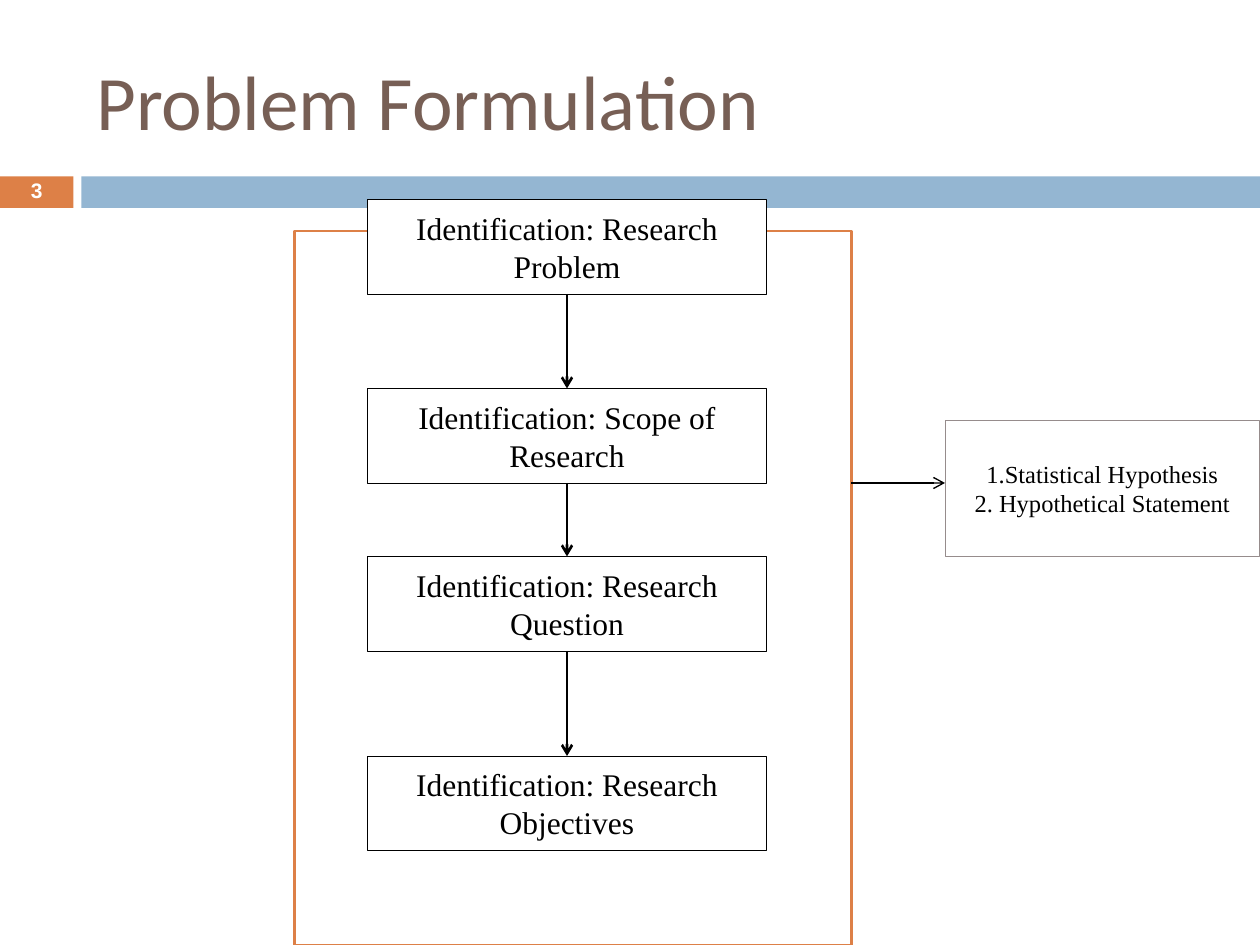
from dataclasses import dataclass
from itertools import pairwise

from lxml import etree
from pptx import Presentation
from pptx.dml.color import RGBColor
from pptx.enum.shapes import MSO_CONNECTOR, MSO_SHAPE
from pptx.enum.text import MSO_ANCHOR, PP_ALIGN
from pptx.oxml.ns import qn
from pptx.util import Pt

RECTANGLE = MSO_SHAPE.RECTANGLE
STRAIGHT = MSO_CONNECTOR.STRAIGHT
MIDDLE = MSO_ANCHOR.MIDDLE
LEFT, CENTER = PP_ALIGN.LEFT, PP_ALIGN.CENTER


@dataclass(frozen=True)
class Theme:
    title: str = "775F55"
    accent: str = "DD8047"
    band: str = "94B6D2"
    paper: str = "FFFFFF"
    ink: str = "000000"
    note_line: str = "968C8C"
    title_font: str = "Calibri"
    number_font: str = "Arial"
    body_font: str = "Times New Roman"
    title_size: float = 44
    step_size: float = 18
    note_size: float = 14
    number_size: float = 12


@dataclass(frozen=True)
class Area:
    left: float
    top: float
    width: float
    height: float

    @property
    def right(self) -> float:
        return self.left + self.width

    @property
    def bottom(self) -> float:
        return self.top + self.height

    @property
    def center(self) -> float:
        return self.left + self.width / 2

    def lengths(self) -> tuple:
        return Pt(self.left), Pt(self.top), Pt(self.width), Pt(self.height)


@dataclass(frozen=True)
class Step:
    text: str
    top: float

    @property
    def area(self) -> Area:
        return Area(210, self.top, 228, 54)


THEME = Theme()
TITLE = Area(48, 18, 642, 78)
NUMBER_TAB = Area(0, 100.8, 42, 18)
BAND = Area(46.5, 100.8, 673.5, 18)
FRAME = Area(168.5, 132, 318, 408)
NOTE = Area(540, 240, 180, 78)
NOTE_ARROW_Y = 276
STEPS = [
    Step("Identification: Research Problem", 114),
    Step("Identification: Scope of Research", 222),
    Step("Identification: Research Question", 318),
    Step("Identification: Research Objectives", 432),
]


def write(shape, text: str, *, font: str, size: float, color: str,
          align=CENTER, bold: bool = False, spacing: float = 1.0) -> None:
    frame = shape.text_frame
    frame.word_wrap = True
    frame.vertical_anchor = MIDDLE
    frame.text = text
    for para in frame.paragraphs:
        para.alignment = align
        para.line_spacing = spacing
        for span in para.runs:
            span.font.name = font
            span.font.size = Pt(size)
            span.font.bold = bold
            span.font.color.rgb = RGBColor.from_string(color)


def add_box(page, area: Area, fill: str, line: str = "", width: float = 0):
    box = page.shapes.add_shape(RECTANGLE, *area.lengths())
    box.shadow.inherit = False
    box.fill.solid()
    box.fill.fore_color.rgb = RGBColor.from_string(fill)
    if line:
        box.line.color.rgb = RGBColor.from_string(line)
        box.line.width = Pt(width)
    else:
        box.line.fill.background()
    return box


def add_arrow(page, start: tuple[float, float], end: tuple[float, float],
              width: float) -> None:
    points = [Pt(value) for value in (*start, *end)]
    arrow = page.shapes.add_connector(STRAIGHT, *points)
    arrow.line.color.rgb = RGBColor.from_string(THEME.ink)
    arrow.line.width = Pt(width)
    etree.SubElement(arrow.line._get_or_add_ln(), qn("a:tailEnd"), type="arrow")
    etree.SubElement(arrow._element.spPr, qn("a:effectLst"))


def main() -> None:
    deck = Presentation()
    deck.slide_width, deck.slide_height = Pt(720), Pt(540)
    page = deck.slides.add_slide(deck.slide_layouts[5])

    title = page.shapes.title
    title.left, title.top, title.width, title.height = TITLE.lengths()
    write(title, "Problem Formulation", font=THEME.title_font,
          size=THEME.title_size, color=THEME.title, align=LEFT)

    number_tab = add_box(page, NUMBER_TAB, THEME.accent)
    write(number_tab, "3", font=THEME.number_font, size=THEME.number_size,
          color=THEME.paper, bold=True, spacing=0.8)
    add_box(page, BAND, THEME.band)
    add_box(page, FRAME, THEME.paper, THEME.accent, 1.5)

    for step in STEPS:
        box = add_box(page, step.area, THEME.paper, THEME.ink, 0.25)
        write(box, step.text, font=THEME.body_font, size=THEME.step_size,
              color=THEME.ink)
    for upper, lower in pairwise(step.area for step in STEPS):
        add_arrow(page, (upper.center, upper.bottom),
                  (lower.center, lower.top), 1.5)

    note = add_box(page, NOTE, THEME.paper, THEME.note_line, 0.5)
    write(note, "1.Statistical Hypothesis\n2. Hypothetical Statement",
          font=THEME.body_font, size=THEME.note_size, color=THEME.ink)
    add_arrow(page, (FRAME.right, NOTE_ARROW_Y), (NOTE.left, NOTE_ARROW_Y), 0.79)

    deck.save("out.pptx")


if __name__ == "__main__":
    main()
